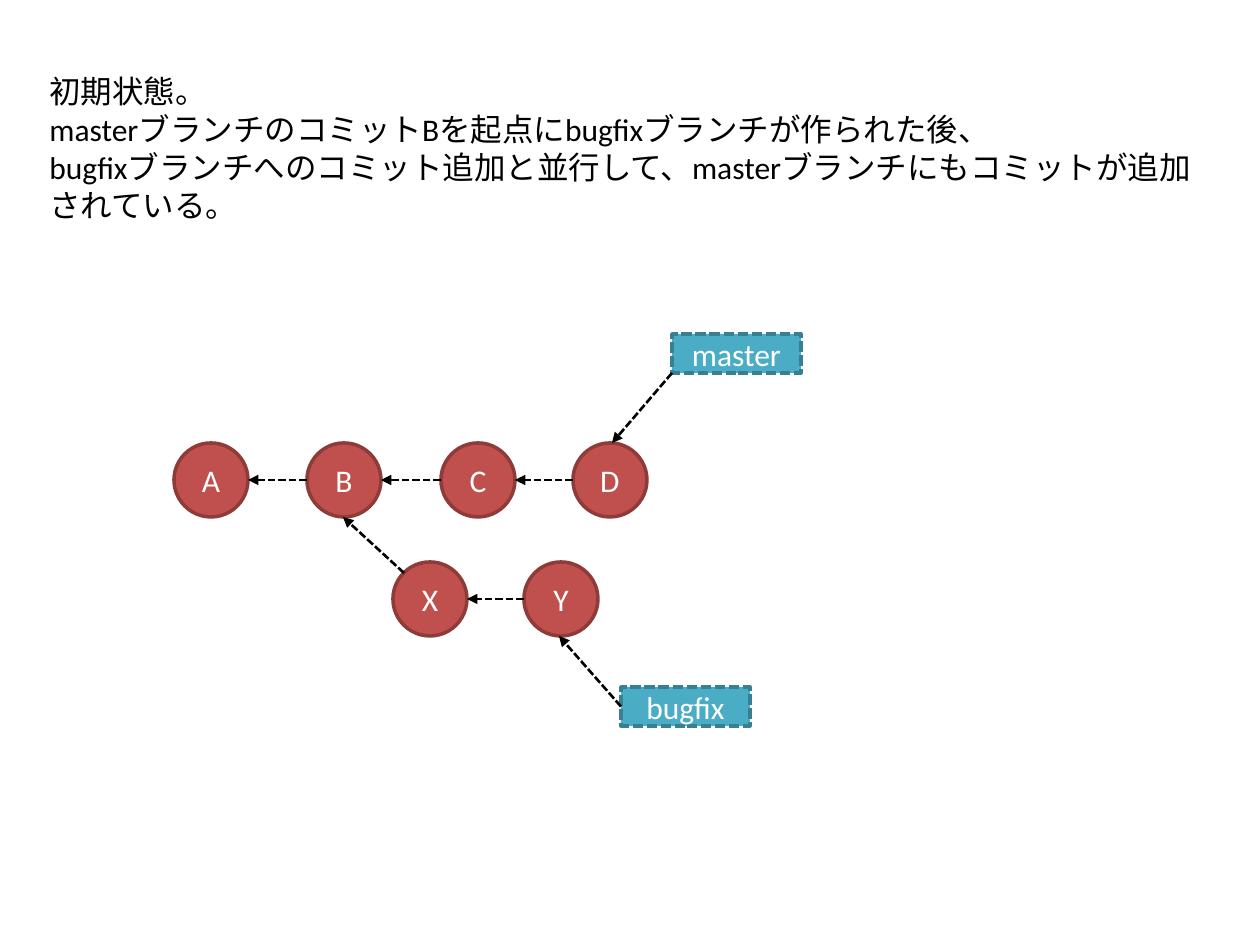
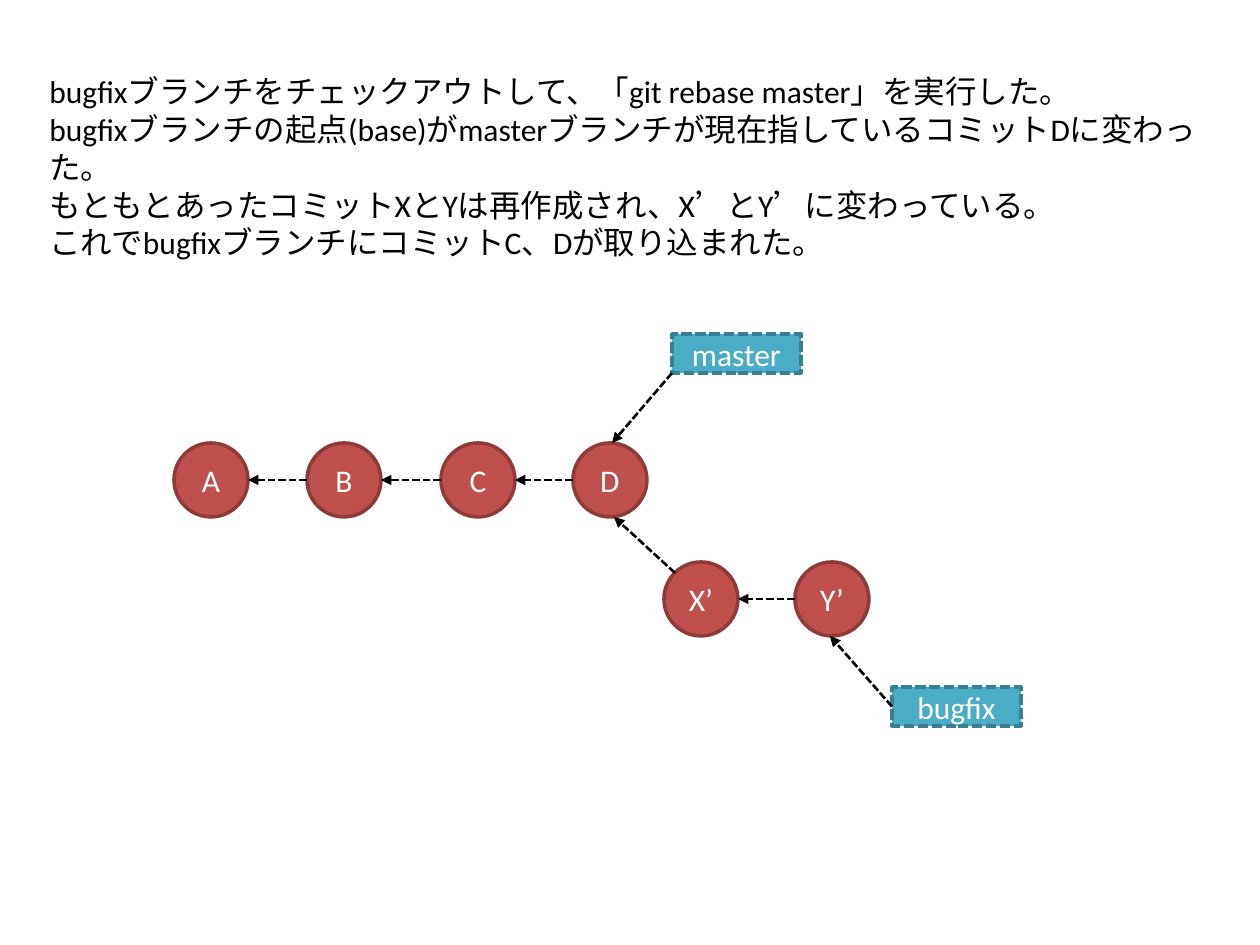
from dataclasses import dataclass
from itertools import pairwise

from lxml.etree import SubElement
from pptx import Presentation
from pptx.dml.color import RGBColor
from pptx.enum.dml import MSO_LINE
from pptx.enum.shapes import MSO_CONNECTOR, MSO_SHAPE
from pptx.enum.text import MSO_ANCHOR, MSO_AUTO_SIZE, PP_ALIGN
from pptx.oxml.ns import qn
from pptx.util import Pt

SCALE = 914400 / 126  # EMU in one px


@dataclass(frozen=True)
class Theme:
    font: str = "Calibri"
    size: int = 18
    ink: str = "000000"
    paper: str = "FFFFFF"
    commit: str = "C0504D"
    rim: str = "8E3B39"
    branch: str = "4BACC6"
    edge: str = "377F92"
    border: float = 2
    stroke: float = 1.5


THEME = Theme()

DISC = 74
TAG_W, TAG_H = 129, 39
MAIN_TOP, SIDE_TOP = 443, 562
MAIN = {"A": 174, "B": 307, "C": 441, "D": 573}
SIDE_X, SIDE_Y = 393, 524
TAG_X = 621
SHIFT = 271  # how far the rebased branch moves to the right

BEFORE = [
    "初期状態。",
    "masterブランチのコミットBを起点にbugfixブランチが作られた後、",
    "bugfixブランチへのコミット追加と並行して、masterブランチにもコミットが追加されている。",
]
AFTER = [
    "bugfixブランチをチェックアウトして、「git rebase master」を実行した。",
    "bugfixブランチの起点(base)がmasterブランチが現在指しているコミットDに変わった。",
    "もともとあったコミットXとYは再作成され、X’とY’に変わっている。",
    "これでbugfixブランチにコミットC、Dが取り込まれた。",
]


def px(*values):
    return [round(value * SCALE) for value in values]


def color(code):
    return RGBColor.from_string(code)


def write(frame, lines, ink=THEME.ink, align=PP_ALIGN.LEFT,
          anchor=MSO_ANCHOR.TOP):
    frame.word_wrap = True
    frame.vertical_anchor = anchor
    for i, line in enumerate(lines):
        para = frame.add_paragraph() if i else frame.paragraphs[0]
        para.alignment = align
        run = para.add_run()
        run.text = line
        run.font.name = THEME.font
        run.font.size = Pt(THEME.size)
        run.font.color.rgb = color(ink)


def add_note(slide, lines, height):
    frame = slide.shapes.add_textbox(*px(37, 66, 1188, height)).text_frame
    write(frame, lines)
    frame.auto_size = MSO_AUTO_SIZE.SHAPE_TO_FIT_TEXT


def add_node(slide, kind, label, box, fill, line):
    node = slide.shapes.add_shape(kind, *px(*box))
    node.shadow.inherit = False
    node.fill.solid()
    node.fill.fore_color.rgb = color(fill)
    node.line.color.rgb = color(line)
    node.line.width = Pt(THEME.border)
    frame = node.text_frame
    frame.margin_left = frame.margin_right = 0
    frame.margin_top = frame.margin_bottom = 0
    write(frame, [label], ink=THEME.paper, align=PP_ALIGN.CENTER,
          anchor=MSO_ANCHOR.MIDDLE)
    return node


def add_tag(slide, label, left, top):
    tag = add_node(slide, MSO_SHAPE.RECTANGLE, label,
                   (left, top, TAG_W, TAG_H), THEME.branch, THEME.edge)
    tag.line.dash_style = MSO_LINE.SQUARE_DOT
    return tag


def add_arrow(slide, start, end):
    arrow = slide.shapes.add_connector(
        MSO_CONNECTOR.STRAIGHT, *px(*start, *end))
    arrow.line.color.rgb = color(THEME.ink)
    arrow.line.width = Pt(THEME.stroke)
    arrow.line.dash_style = MSO_LINE.SQUARE_DOT
    SubElement(arrow.line._get_or_add_ln(), qn("a:tailEnd"), type="triangle")
    SubElement(arrow._element.spPr, qn("a:effectLst"))
    return arrow


def add_chain(slide, commits, top):
    """Draw a row of commits, each pointing back to the one before it."""
    for label, left in commits.items():
        add_node(slide, MSO_SHAPE.OVAL, label, (left, top, DISC, DISC),
                 THEME.commit, THEME.rim)
    mid = top + DISC / 2
    for prior, later in pairwise(commits.values()):
        add_arrow(slide, (later, mid), (prior + DISC, mid))


def add_master(slide):
    add_chain(slide, MAIN, MAIN_TOP)
    add_tag(slide, "master", 672, 334)
    add_arrow(slide, (672, 334 + TAG_H), (612, MAIN_TOP))


def add_bugfix(slide, mark="", shift=0):
    add_chain(slide, {"X" + mark: SIDE_X + shift, "Y" + mark: SIDE_Y + shift},
              SIDE_TOP)
    add_arrow(slide, (404 + shift, 573), (343 + shift, MAIN_TOP + DISC))
    tag = add_tag(slide, "bugfix", TAG_X + shift, 687)
    arrow = add_arrow(slide, (TAG_X + shift, 706),
                      (559 + shift, SIDE_TOP + DISC))
    arrow.begin_connect(tag, 1)


def main():
    deck = Presentation()
    deck.slide_width, deck.slide_height = px(1260, 945)
    for lines, height, mark, shift in (
        (BEFORE, 127, "", 0),
        (AFTER, 165, "’", SHIFT),
    ):
        slide = deck.slides.add_slide(deck.slide_layouts[6])
        add_master(slide)
        add_bugfix(slide, mark, shift)
        add_note(slide, lines, height)
    deck.save("out.pptx")


if __name__ == "__main__":
    main()
